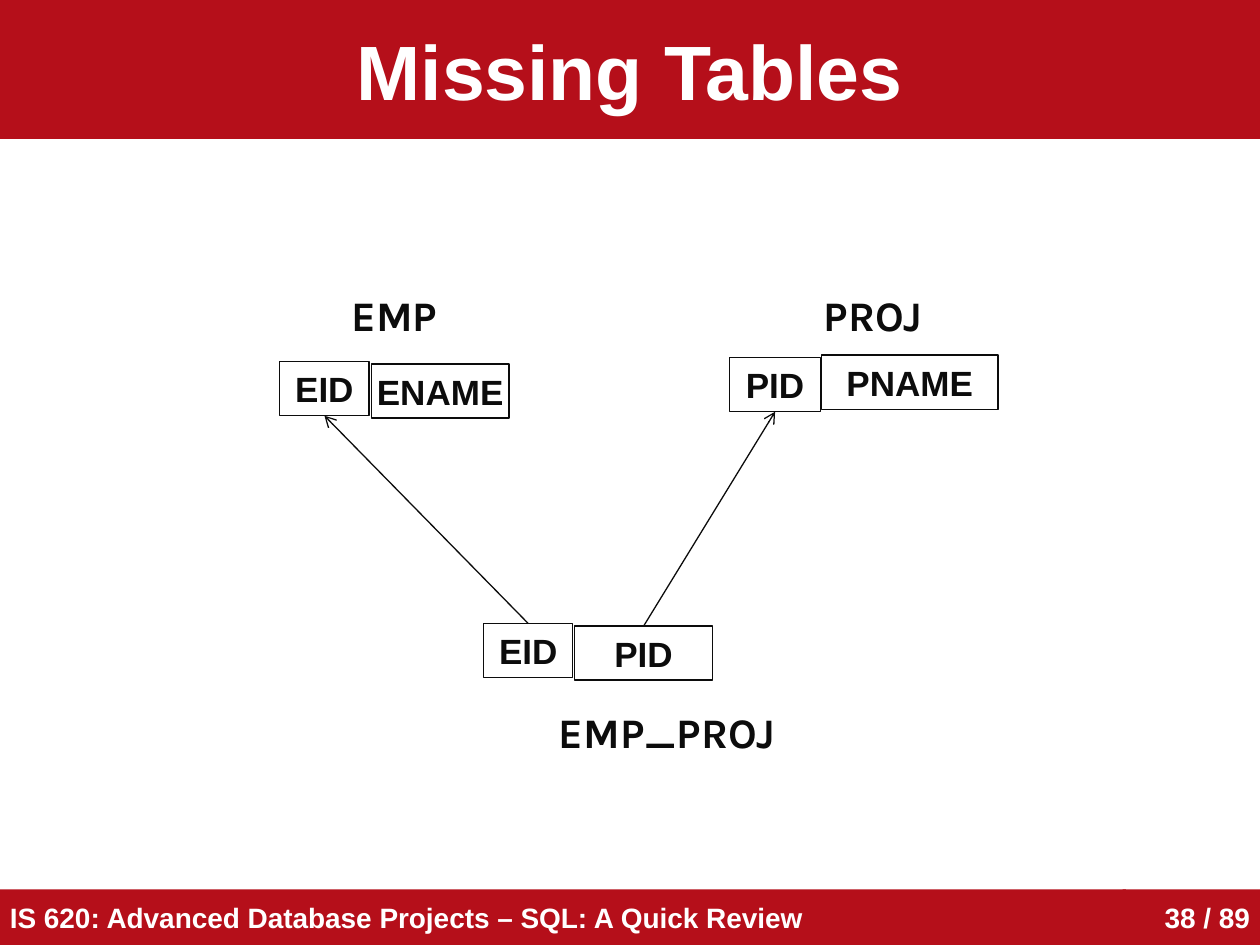
from pptx import Presentation
from pptx.dml.color import RGBColor
from pptx.enum import shapes, text
from pptx.oxml import parse_xml
from pptx.oxml.ns import nsdecls
from pptx.util import Cm, Pt

RED, INK, WHITE = "B50F1A", "0C0C0C", "FFFFFF"
LEFT, MID, RIGHT = text.PP_ALIGN.LEFT, text.PP_ALIGN.CENTER, text.PP_ALIGN.RIGHT


def paint(part, tone):
    part.solid()
    part.fore_color.rgb = RGBColor.from_string(tone)


def write(shape, words, size, tone, align=MID, font="Arial", wrap=True):
    frame = shape.text_frame
    frame.text = words
    frame.word_wrap = wrap
    line = frame.paragraphs[0]
    line.alignment = align
    run = line.runs[0].font
    run.name, run.size, run.bold = font, Pt(size), True
    paint(run.fill, tone)


deck = Presentation()
deck.slide_width, deck.slide_height = Cm(25.4), Cm(19.05)
slide = deck.slides.add_slide(deck.slide_layouts[6])
items = slide.shapes

bands = [
    ("IS 620: Advanced Database Projects – SQL: A Quick Review", 0, 17.93, 22.7, 1.12, 16, LEFT),
    ("38 / 89", 22.63, 17.93, 2.77, 1.12, 16, RIGHT),
    ("Missing Tables", 0, 0, 25.4, 2.8, 44, MID),
]
for words, x, y, wide, high, size, align in bands:
    band = items.add_shape(shapes.MSO_SHAPE.RECTANGLE, Cm(x), Cm(y), Cm(wide), Cm(high))
    band.shadow.inherit = False
    paint(band.fill, RED)
    band.line.fill.background()
    write(band, words, size, WHITE, align)
    band.text_frame.margin_left = band.text_frame.margin_right = Cm(0.2)

fields = [
    ("EMP", "EID", 5.64, 7.29, 1.8),
    ("PROJ", "PID", 14.71, 7.21, 1.83),
    ("EMP", "ENAME", 7.49, 7.34, 2.77),
    ("PROJ", "PNAME", 16.56, 7.16, 3.56),
    ("EMP_PROJ", "EID", 9.75, 12.57, 1.8),
    ("EMP_PROJ", "PID", 11.58, 12.62, 2.79),
]
boxes = {}
for table, field, x, y, wide in fields:
    box = items.add_shape(shapes.MSO_SHAPE.RECTANGLE, Cm(x), Cm(y), Cm(wide), Cm(1.09))
    box.shadow.inherit = False
    box.fill.background()
    paint(box.line.fill, INK)
    box.line.width = Pt(0.75)
    write(box, field, 20, INK, wrap=False)
    boxes[table, field] = box

for table, key in [("EMP", "EID"), ("PROJ", "PID")]:
    arrow = items.add_connector(shapes.MSO_CONNECTOR.STRAIGHT, 0, 0, 0, 0)
    arrow.begin_connect(boxes["EMP_PROJ", key], 0)
    arrow.end_connect(boxes[table, key], 2)
    paint(arrow.line.fill, INK)
    arrow.line.width = Pt(0.75)
    arrow.line._get_or_add_ln().append(parse_xml(f'<a:tailEnd {nsdecls("a")} type="arrow"/>'))
    arrow._element.spPr.append(parse_xml(f'<a:effectLst {nsdecls("a")}/>'))

names = [("EMP", 6.5, 5.72, 2.9), ("PROJ", 16.15, 5.72, 2.9), ("EMP_PROJ", 9.78, 14.12, 7.34)]
for name, x, y, wide in names:
    label = items.add_textbox(Cm(x), Cm(y), Cm(wide), Cm(1.3))
    write(label, name, 24, INK, font="Karla")

deck.save("out.pptx")
